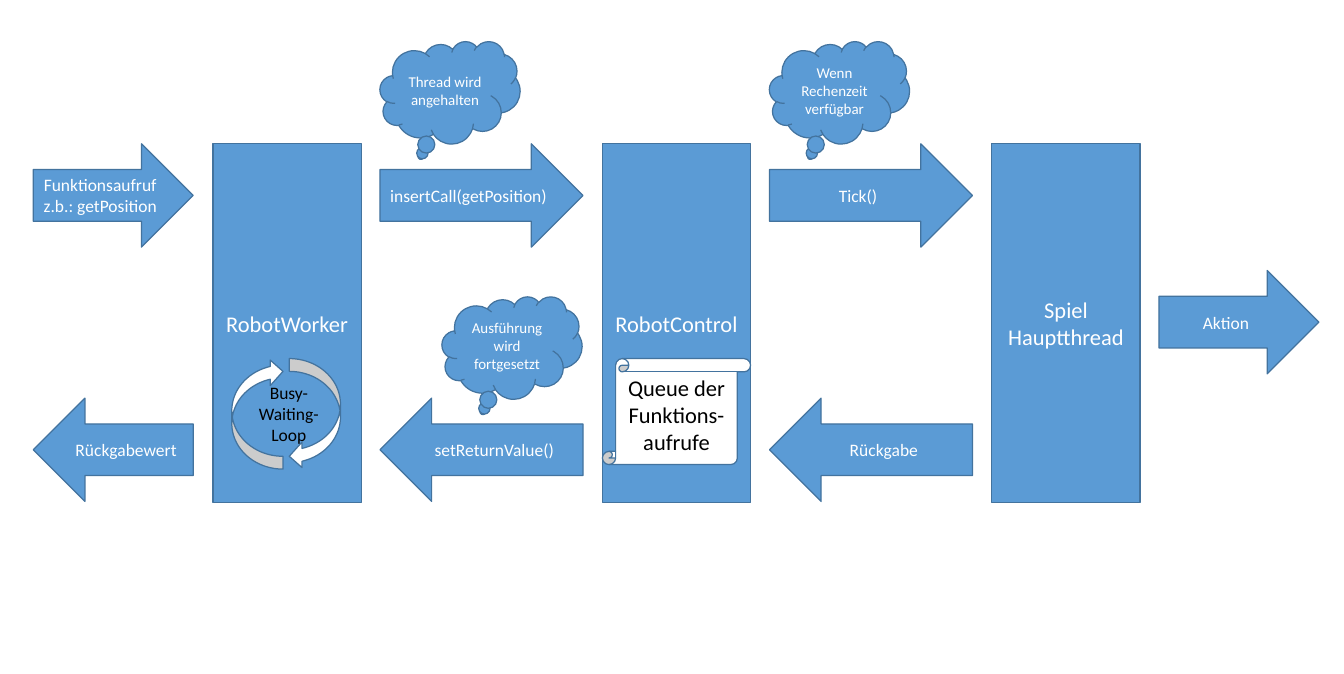
from pptx import Presentation
from pptx.dml.color import RGBColor
from pptx.enum.shapes import MSO_SHAPE as Preset
from pptx.enum.text import MSO_ANCHOR as Anchor, PP_ALIGN as Align
from pptx.util import Inches, Pt

THEME = {
    "font": "Calibri",
    "blue": RGBColor.from_string("5B9BD5"),
    "outline": RGBColor.from_string("43739E"),
    "white": RGBColor.from_string("FFFFFF"),
    "black": RGBColor.from_string("000000"),
    "column_size": 18,
    "arrow_size": 14,
    "cloud_size": 12,
}


def write_text(shape, text, size, color=THEME["white"], anchor=Anchor.MIDDLE):
    frame = shape.text_frame
    frame.word_wrap = True
    frame.vertical_anchor = anchor
    paragraph = frame.paragraphs[0]
    paragraph.text = text
    paragraph.alignment = Align.CENTER
    for run in paragraph.runs:
        run.font.name = THEME["font"]
        run.font.size = Pt(size)
        run.font.color.rgb = color


def draw_shape(preset, left, top, width, height, fill=THEME["blue"]):
    shape = slide.shapes.add_shape(
        preset, Inches(left), Inches(top), Inches(width), Inches(height))
    shape.shadow.inherit = False
    shape.fill.solid()
    shape.fill.fore_color.rgb = fill
    shape.line.color.rgb = THEME["outline"]
    shape.line.width = Pt(1)
    return shape


presentation = Presentation()
presentation.slide_width = Inches(14.96)
presentation.slide_height = Inches(7.5)
slide = presentation.slides.add_slide(presentation.slide_layouts[6])

column_left, column_pitch, column_width = 2.37, 4.335, 1.65
call_top, action_top, return_top = 1.6, 3.01, 4.43
outer_left, outer_width = 0.37, 1.78
inner_left, inner_width = 4.23, 2.26
arrow_height = 1.15

for index, name in enumerate(["RobotWorker", "RobotControl", "Spiel Hauptthread"]):
    column = draw_shape(Preset.RECTANGLE, column_left + index * column_pitch,
                        call_top, column_width, 3.99)
    write_text(column, name, THEME["column_size"])

arrows = [
    (Preset.RIGHT_ARROW, outer_left, call_top, outer_width, "Funktionsaufruf\nz.b.: getPosition"),
    (Preset.RIGHT_ARROW, inner_left, call_top, inner_width, "insertCall(getPosition)"),
    (Preset.RIGHT_ARROW, inner_left + column_pitch, call_top, inner_width, "Tick()"),
    (Preset.RIGHT_ARROW, 12.9, action_top, outer_width, "Aktion"),
    (Preset.LEFT_ARROW, outer_left, return_top, outer_width, "Rückgabewert"),
    (Preset.LEFT_ARROW, inner_left, return_top, inner_width, "setReturnValue()"),
    (Preset.LEFT_ARROW, inner_left + column_pitch, return_top, inner_width, "Rückgabe"),
]
for preset, left, top, width, text in arrows:
    arrow = draw_shape(preset, left, top, width, arrow_height)
    write_text(arrow, text, THEME["arrow_size"])

clouds = [
    (inner_left, 0.46, "Thread wird angehalten"),
    (inner_left + column_pitch, 0.46, "Wenn Rechenzeit verfügbar"),
    (4.92, 3.3, "Ausführung wird fortgesetzt"),
]
for left, top, text in clouds:
    cloud = draw_shape(Preset.CLOUD_CALLOUT, left, top, 1.56, 1.14)
    write_text(cloud, text, THEME["cloud_size"])

queue = draw_shape(Preset.VERTICAL_SCROLL, column_left + column_pitch, 3.99,
                   column_width, 1.18, THEME["white"])
write_text(queue, "Queue der Funktions-aufrufe", THEME["column_size"], THEME["black"])

for left, rotation in [(3.22, 0), (2.58, 180)]:
    loop_arrow = draw_shape(Preset.CURVED_LEFT_ARROW, left, 3.99, 0.57, 1.23, THEME["white"])
    loop_arrow.rotation = rotation

loop_label = slide.shapes.add_textbox(Inches(2.72), Inches(4.2), Inches(0.99), Inches(0.81))
write_text(loop_label, "Busy-Waiting-Loop", THEME["arrow_size"], THEME["black"], Anchor.TOP)

presentation.save("out.pptx")
